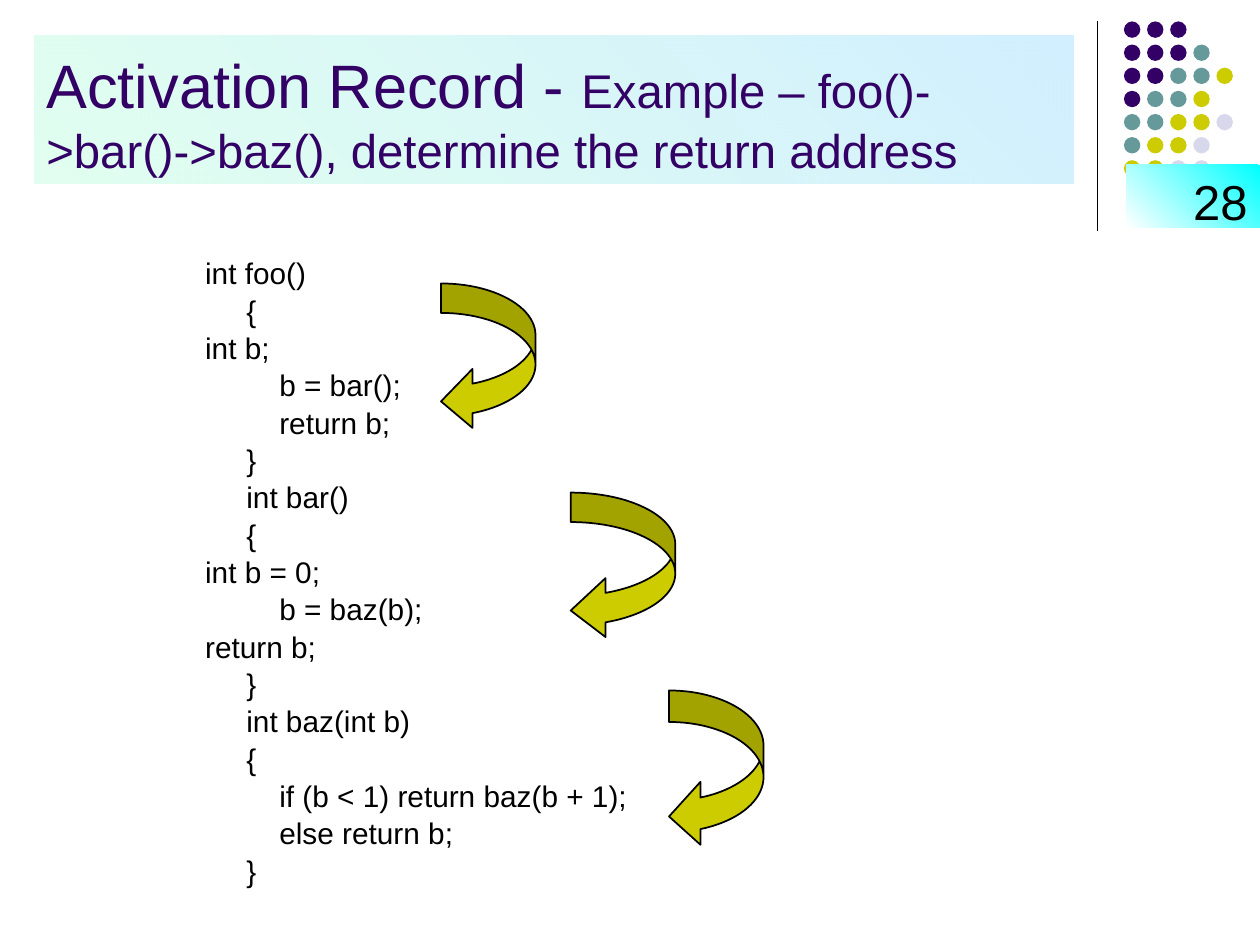
from dataclasses import dataclass

from lxml import etree
from pptx import Presentation
from pptx import util as u
from pptx.dml.color import RGBColor
from pptx.enum import shapes, text
from pptx.oxml import ns

WIDTH, HEIGHT = u.Inches(10), u.Inches(7.5)
COLUMNS, ROWS = 100, 75


@dataclass(frozen=True)
class Theme:
    font: str = "Arial"
    ink: str = "000000"
    purple: str = "330066"
    teal: str = "669999"
    olive: str = "CCCC00"
    lavender: str = "D8D8EC"
    title_fill: tuple = ("66CCFF", "99FFCC")
    title_opacity: tuple = (30, 29)
    number_fill: tuple = ("00FFFF", "FFFFFF")
    title_size: int = 35
    subtitle_size: int = 27
    code_size: int = 17
    number_size: int = 28


@dataclass(frozen=True)
class Box:
    left: float
    top: float
    width: float
    height: float

    def emu(self):
        return (across(self.left), down(self.top),
                across(self.width), down(self.height))


THEME = Theme()

DOT_ROWS = ["PPP", "PPPT", "PPTTY", "PTTY", "TTYYL", "TYYL", "YYLL"]
DOT_COLORS = {"P": THEME.purple, "T": THEME.teal,
              "Y": THEME.olive, "L": THEME.lavender}

CODE = """int foo()
     {
int b;
         b = bar();
         return b;
     }
     int bar()
     {
int b = 0;
         b = baz(b);
return b;
     }
     int baz(int b)
     {
         if (b < 1) return baz(b + 1);
         else return b;
     }"""

RETURN_BOXES = [Box(35, 22.5, 7.5, 11.7),
                Box(45.3, 39.1, 8.3, 11.7),
                Box(53.1, 54.8, 7.5, 12.5)]


def across(columns):
    return round(WIDTH * columns / COLUMNS)


def down(rows):
    return round(HEIGHT * rows / ROWS)


def paint(fill, color):
    fill.solid()
    fill.fore_color.rgb = RGBColor.from_string(color)


def blend(fill, colors, opacities=(100, 100)):
    fill.gradient()
    fill.gradient_angle = 225
    for stop, color, opacity in zip(fill.gradient_stops, colors, opacities):
        stop.color.rgb = RGBColor.from_string(color)
    if opacities != (100, 100):
        tints = fill._xPr.iter(ns.qn("a:srgbClr"))
        for tint, opacity in zip(tints, opacities):
            etree.SubElement(tint, ns.qn("a:alpha"), val=str(opacity * 1000))


def add_preset(slide, kind, box):
    preset = slide.shapes.add_shape(kind, *box.emu())
    preset.shadow.inherit = False
    preset.line.fill.background()
    return preset


def write(paragraph, content, size, color=THEME.ink,
          align=text.PP_ALIGN.LEFT, leading=None, before=0):
    paragraph.alignment = align
    paragraph.space_before = u.Pt(before)
    if leading:
        paragraph.line_spacing = leading
    run = paragraph.add_run()
    run.text = content
    run.font.name = THEME.font
    run.font.size = u.Pt(size)
    run.font.color.rgb = RGBColor.from_string(color)


def add_divider(slide, box):
    left, top, _, height = box.emu()
    divider = slide.shapes.add_connector(
        shapes.MSO_CONNECTOR.STRAIGHT, left, top, left, top + height)
    divider.line.color.rgb = RGBColor.from_string(THEME.ink)
    divider.line.width = u.Pt(0.75)
    etree.SubElement(divider._element.spPr, ns.qn("a:effectLst"))


def add_dots(slide, box):
    pitch = box.height / len(DOT_ROWS)
    diameter = pitch * 0.71
    for row, letters in enumerate(DOT_ROWS):
        for column, letter in enumerate(letters):
            dot = add_preset(slide, shapes.MSO_SHAPE.OVAL, Box(
                box.left + column * pitch, box.top + row * pitch,
                diameter, diameter))
            paint(dot.fill, DOT_COLORS[letter])


def add_title(slide, box):
    title = add_preset(slide, shapes.MSO_SHAPE.RECTANGLE, box)
    blend(title.fill, THEME.title_fill, THEME.title_opacity)
    frame = title.text_frame
    frame.word_wrap = True
    frame.vertical_anchor = text.MSO_ANCHOR.BOTTOM
    heading = frame.paragraphs[0]
    write(heading, "Activation Record - ", THEME.title_size, THEME.purple)
    write(heading, "Example – foo()->bar()->baz(), determine the return address",
          THEME.subtitle_size, THEME.purple)


def add_code(slide, box):
    frame = slide.shapes.add_textbox(*box.emu()).text_frame
    frame.word_wrap = True
    for index, line in enumerate(CODE.splitlines()):
        paragraph = frame.add_paragraph() if index else frame.paragraphs[0]
        write(paragraph, line, THEME.code_size, leading=0.84,
              before=4.2 if index else 0)


def add_return_arrow(slide, box):
    arrow = add_preset(slide, shapes.MSO_SHAPE.CURVED_LEFT_ARROW, box)
    paint(arrow.fill, THEME.olive)
    paint(arrow.line.fill, THEME.ink)
    arrow.line.width = u.Pt(1)
    short_side = min(box.width, box.height)
    parts = (box.height / 5, box.height * 2 / 5, box.width / 3)
    for index, part in enumerate(parts):
        arrow.adjustments[index] = part / short_side


def add_page_number(slide, box):
    number = add_preset(slide, shapes.MSO_SHAPE.RECTANGLE, box)
    blend(number.fill, THEME.number_fill)
    frame = number.text_frame
    frame.word_wrap = True
    frame.vertical_anchor = text.MSO_ANCHOR.TOP
    write(frame.paragraphs[0], "28", THEME.number_size,
          align=text.PP_ALIGN.RIGHT)


def main():
    deck = Presentation()
    deck.slide_width, deck.slide_height = WIDTH, HEIGHT
    slide = deck.slides.add_slide(deck.slide_layouts[6])
    add_divider(slide, Box(87.1, 1.7, 0, 16.6))
    add_dots(slide, Box(89.2, 1.7, 9.2, 12.85))
    add_title(slide, Box(2.7, 2.8, 82.5, 11.8))
    add_code(slide, Box(15.3, 20.2, 74.7, 49.6))
    for box in RETURN_BOXES:
        add_return_arrow(slide, box)
    add_page_number(slide, Box(89.4, 13.1, 10.6, 5))
    deck.save("out.pptx")


if __name__ == "__main__":
    main()
